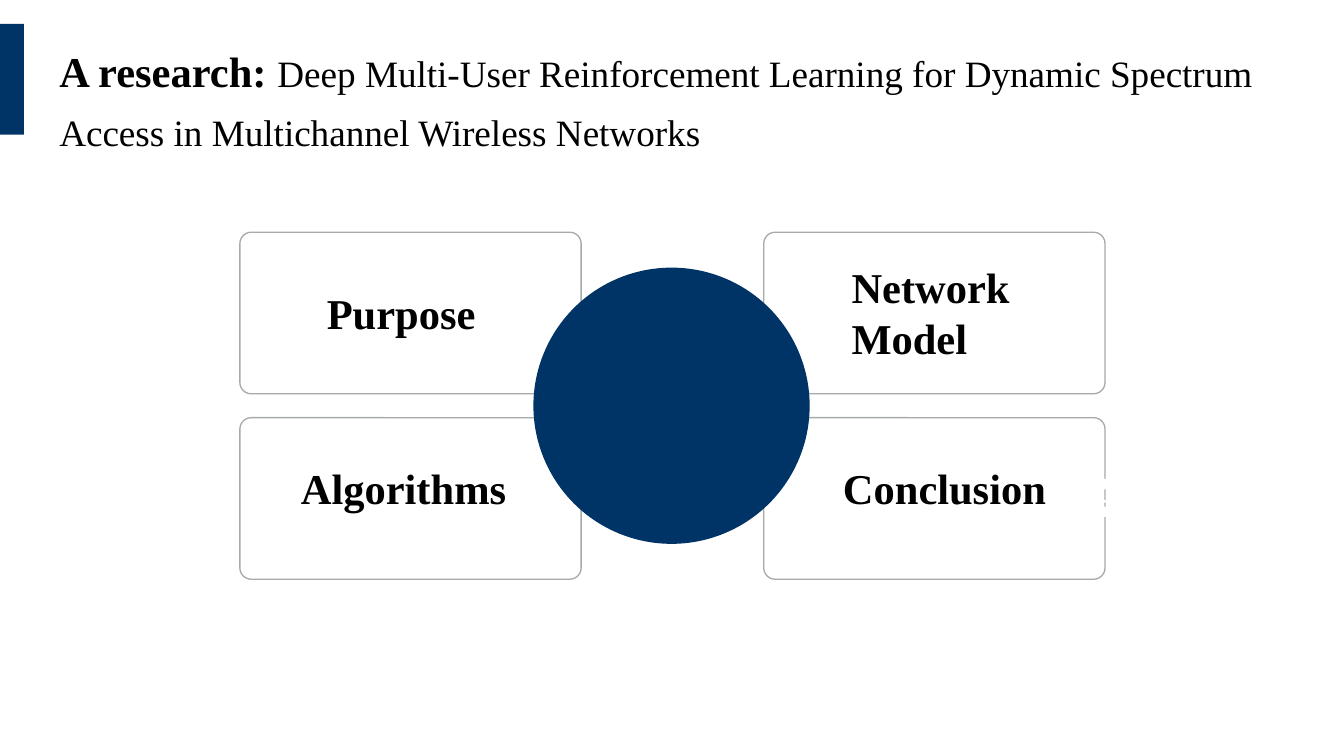
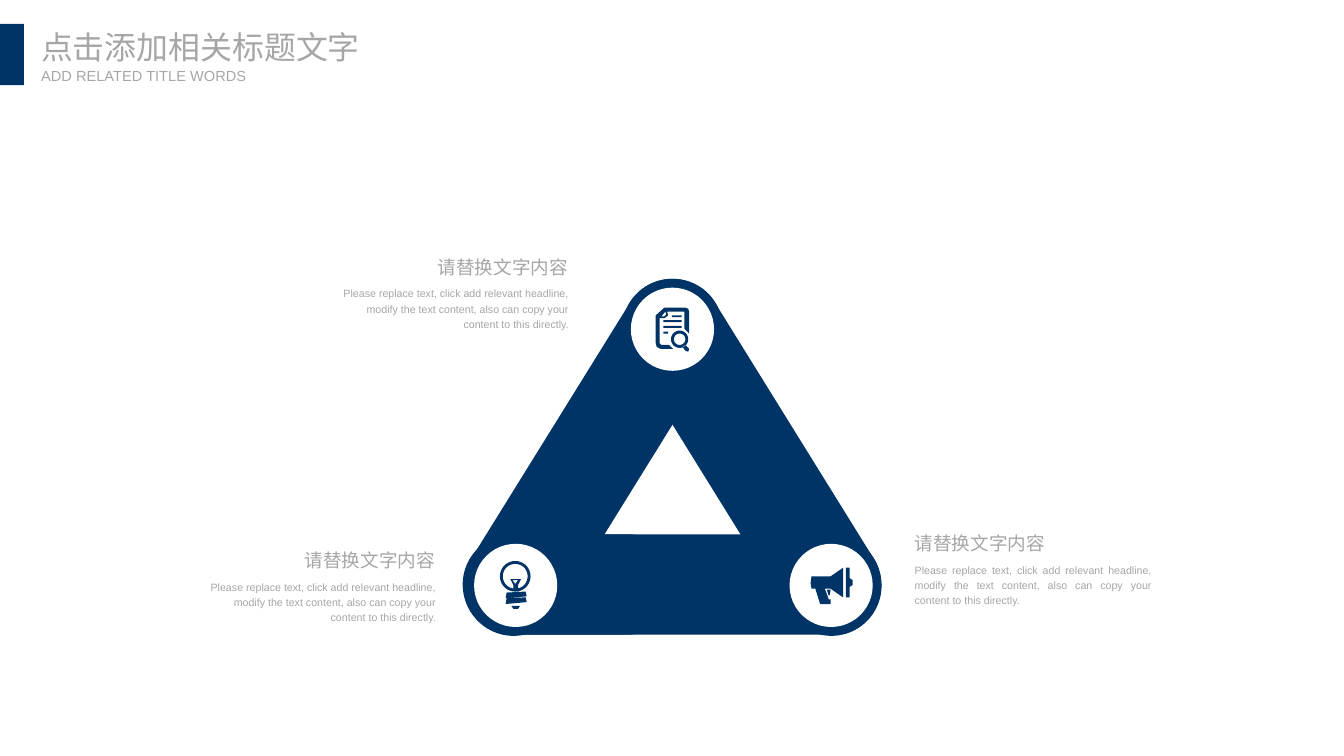
import math

from lxml import etree
from pptx import Presentation
from pptx.dml.color import RGBColor
from pptx.enum.shapes import MSO_SHAPE
from pptx.enum.text import MSO_ANCHOR, MSO_AUTO_SIZE, PP_ALIGN
from pptx.oxml.ns import qn
from pptx.util import Inches, Pt

LEFT, RIGHT, JUSTIFY = PP_ALIGN.LEFT, PP_ALIGN.RIGHT, PP_ALIGN.JUSTIFY
RECTANGLE, OVAL, ROUNDED = MSO_SHAPE.RECTANGLE, MSO_SHAPE.OVAL, MSO_SHAPE.ROUNDED_RECTANGLE
TOP, NO_FIT = MSO_ANCHOR.TOP, MSO_AUTO_SIZE.NONE
COLORS = {"navy": "003366", "white": "FFFFFF", "black": "000000",
          "outline": "A6AAA9", "gray": "A6A6A6"}
SERIF, SANS, CHINESE = "Times New Roman", "Arial", "Noto Sans CJK SC"
TITLE_ONLY = 5


def paint(shape, color):
    """Give a shape a flat fill without line or shadow."""
    shape.fill.solid()
    shape.fill.fore_color.rgb = RGBColor.from_string(COLORS[color])
    shape.line.fill.background()
    shape.shadow.inherit = False


def add_text(shapes, place, text, size, color, font, align=LEFT, spacing=1.0, bold=False):
    """Add a wrapping text box with one paragraph."""
    box = shapes.add_textbox(*map(Inches, place))
    box.text_frame.word_wrap = True
    para = box.text_frame.paragraphs[0]
    para.text = text
    para.alignment = align
    para.line_spacing = spacing
    para.font.name = font
    para.font.size = Pt(size)
    para.font.bold = bold
    para.font.color.rgb = RGBColor.from_string(COLORS[color])
    return box


deck = Presentation()
deck.slide_width, deck.slide_height = Inches(14.06), Inches(7.91)

# Both pages: side band and title
headers = [
    (1.16, (0.62, 0.31, 12.82, 1.25), SERIF, "black", 1.3, True,
     [("A research: ", 32, True),
      ("Deep Multi-User Reinforcement Learning for Dynamic Spectrum Access in "
       "Multichannel Wireless Networks", 28, False)]),
    (0.64, (0.43, 0.29, 3.37, 0.4), CHINESE, "gray", 1.0, False,
     [("点击添加相关标题文字", 24, False)]),
]
pages = []
for band_height, place, font, color, spacing, wrap, pieces in headers:
    page = deck.slides.add_slide(deck.slide_layouts[TITLE_ONLY])
    pages.append(page)
    band = page.shapes.add_shape(RECTANGLE, 0, Inches(0.25), Inches(0.25), Inches(band_height))
    paint(band, "navy")
    title = page.shapes.title
    title.left, title.top, title.width, title.height = map(Inches, place)
    frame = title.text_frame
    frame.margin_left = frame.margin_right = frame.margin_top = frame.margin_bottom = 0
    frame.vertical_anchor = TOP
    frame.auto_size = NO_FIT
    frame.word_wrap = wrap
    para = frame.paragraphs[0]
    para.alignment = LEFT
    para.line_spacing = spacing
    for text, size, bold in pieces:
        span = para.add_run()
        span.text = text
        span.font.name = font
        span.font.size = Pt(size)
        span.font.bold = bold
        span.font.color.rgb = RGBColor.from_string(COLORS[color])
        if font == CHINESE:
            etree.SubElement(span.font._element, qn("a:ea"), typeface=CHINESE)
topics_page, triangle_page = pages

# Page 1: four topic cards around a disc
for left in (2.51, 7.99):
    for top in (2.43, 4.37):
        card = topics_page.shapes.add_shape(
            ROUNDED, Inches(left), Inches(top), Inches(3.57), Inches(1.69))
        card.adjustments[0] = 0.07
        card.fill.background()
        card.line.color.rgb = RGBColor.from_string(COLORS["outline"])
        card.line.width = Pt(1)
        card.shadow.inherit = False
disc = topics_page.shapes.add_shape(OVAL, *map(Inches, (5.58, 2.8, 2.89, 2.89)))
paint(disc, "navy")
for text, place in [("Purpose", (3.32, 2.95, 2.12, 0.64)),
                    ("Network Model", (8.81, 2.68, 2.12, 1.18)),
                    ("Algorithms", (3.05, 4.78, 2.37, 0.64)),
                    ("Conclusion", (8.72, 4.78, 2.39, 0.64))]:
    add_text(topics_page.shapes, place, text, 32, "black", SERIF, JUSTIFY, bold=True)

# Page 2: subtitle
subtitle = add_text(triangle_page.shapes, (0.43, 0.7, 2.18, 0.19),
                    "ADD RELATED TITLE WORDS", 11, "gray", SANS)
frame = subtitle.text_frame
frame.word_wrap = False
frame.margin_left = frame.margin_right = frame.margin_top = frame.margin_bottom = 0

# Page 2: triangle of round-ended bars with a white disc at each corner
triangle = triangle_page.shapes.add_group_shape()
for left, top, width, angle in [(4.86, 5.59, 4.36, 0), (5.76, 4.26, 4.21, 58.2),
                                (4.1, 4.26, 4.21, -58.2), (4.84, 5.59, 2.25, 0)]:
    bar = triangle.shapes.add_shape(
        ROUNDED, Inches(left), Inches(top), Inches(width), Inches(1.05))
    bar.adjustments[0] = 0.5
    bar.rotation = angle
    paint(bar, "navy")
for left, top in [(6.6, 3.01), (4.96, 5.69), (8.26, 5.69)]:
    corner = triangle.shapes.add_shape(
        OVAL, Inches(left), Inches(top), Inches(0.87), Inches(0.87))
    paint(corner, "white")

# Page 2: captions, each a heading over a description
description = ("Please replace text, click add relevant headline, modify the text content, "
               "also can copy your content to this directly.")
for heading_place, left, width, heading_align, body_align in [
        ((9.47, 5.47, 1.61, 0.36), 9.47, 2.68, LEFT, JUSTIFY),
        ((4.42, 2.58, 1.62, 0.36), 3.46, 2.59, RIGHT, RIGHT),
        ((2.86, 5.65, 1.79, 0.36), 2.07, 2.59, RIGHT, RIGHT)]:
    caption = triangle_page.shapes.add_group_shape()
    add_text(caption.shapes, heading_place, "请替换文字内容", 14, "gray", SANS,
             heading_align, 1.2)
    add_text(caption.shapes, (left, heading_place[1] + 0.35, width, 0.57),
             description, 8, "gray", SANS, body_align, 1.2)

# Icon outlines: the first contour is the body, contours inside it are holes
circles = {}
for name, x, y, radius in [("lens", 7.11, 3.55, 0.09), ("glass", 7.11, 3.55, 0.06),
                           ("bulb", 5.39, 6.03, 0.16), ("bulb inside", 5.39, 6.03, 0.13)]:
    circles[name] = [(x + radius * math.cos(step * math.pi / 18),
                      y + radius * math.sin(step * math.pi / 18)) for step in range(36)]

gear_rim = []
for step in range(32):
    radius = 0.2 if step % 4 < 2 else 0.15
    angle = (step - 0.5) * math.pi / 16
    gear_rim.append((11.55 + radius * math.cos(angle), 5.21 + radius * math.sin(angle)))
gear = [gear_rim]
for top, bottom in [(5.12, 5.23), (5.26, 5.3)]:
    gear.append([(11.53, top), (11.58, top), (11.58, bottom), (11.53, bottom)])

document = [
    [(6.96, 3.22), (7.17, 3.22), (7.2, 3.23), (7.21, 3.27), (7.21, 3.49), (7.16, 3.44),
     (7.16, 3.26), (6.98, 3.26), (6.99, 3.3), (6.95, 3.33), (6.9, 3.33), (6.9, 3.59),
     (6.92, 3.61), (7, 3.61), (7.04, 3.65), (6.91, 3.65), (6.87, 3.63), (6.86, 3.59),
     (6.86, 3.3), (6.95, 3.22)],
    [(6.96, 3.26), (6.92, 3.31), (6.95, 3.31), (6.97, 3.29)],
    circles["lens"], circles["glass"],
    [(7.14, 3.63), (7.17, 3.67), (7.2, 3.68), (7.21, 3.65), (7.17, 3.61)],
]
for left, right, top in [(7.03, 7.13, 3.3), (6.94, 7.13, 3.35),
                         (6.94, 7.13, 3.41), (6.94, 6.99, 3.47)]:
    document.append([(left, top), (right, top), (right, top + 0.02), (left, top + 0.02)])

light_bulb = [
    circles["bulb"], circles["bulb inside"],
    [(5.34, 6.06), (5.45, 6.06), (5.42, 6.12), (5.42, 6.16), (5.37, 6.16), (5.37, 6.12)],
    [(5.36, 6.07), (5.42, 6.07), (5.39, 6.11)],
    [(5.35, 6.34), (5.44, 6.34), (5.42, 6.37), (5.37, 6.37)],
]
for top in (6.2, 6.26):
    light_bulb.append([(5.3, top), (5.5, top - 0.01), (5.51, top + 0.04), (5.29, top + 0.06)])

megaphone = [
    [(8.49, 6.03), (8.69, 6.03), (8.82, 5.94), (8.82, 6.25), (8.69, 6.16), (8.63, 6.16),
     (8.67, 6.27), (8.69, 6.27), (8.69, 6.32), (8.58, 6.32), (8.53, 6.16), (8.49, 6.16),
     (8.48, 6.1)],
    [(8.85, 5.94), (8.89, 5.94), (8.89, 6.05), (8.92, 6.07), (8.92, 6.12), (8.89, 6.14),
     (8.89, 6.25), (8.85, 6.25)],
    [(8.65, 6.17), (8.69, 6.17), (8.68, 6.23), (8.67, 6.23)],
]

for shapes, color, contours in [(topics_page.shapes, "white", gear),
                                (triangle.shapes, "navy", document),
                                (triangle.shapes, "navy", light_bulb),
                                (triangle.shapes, "navy", megaphone)]:
    scaled = [[(x * 1000, y * 1000) for x, y in contour] for contour in contours]
    builder = shapes.build_freeform(*scaled[0][0], scale=Inches(1) / 1000)
    builder.add_line_segments(scaled[0][1:])
    for contour in scaled[1:]:
        builder.move_to(*contour[0])
        builder.add_line_segments(contour[1:])
    paint(builder.convert_to_shape(), color)

deck.save("out.pptx")
